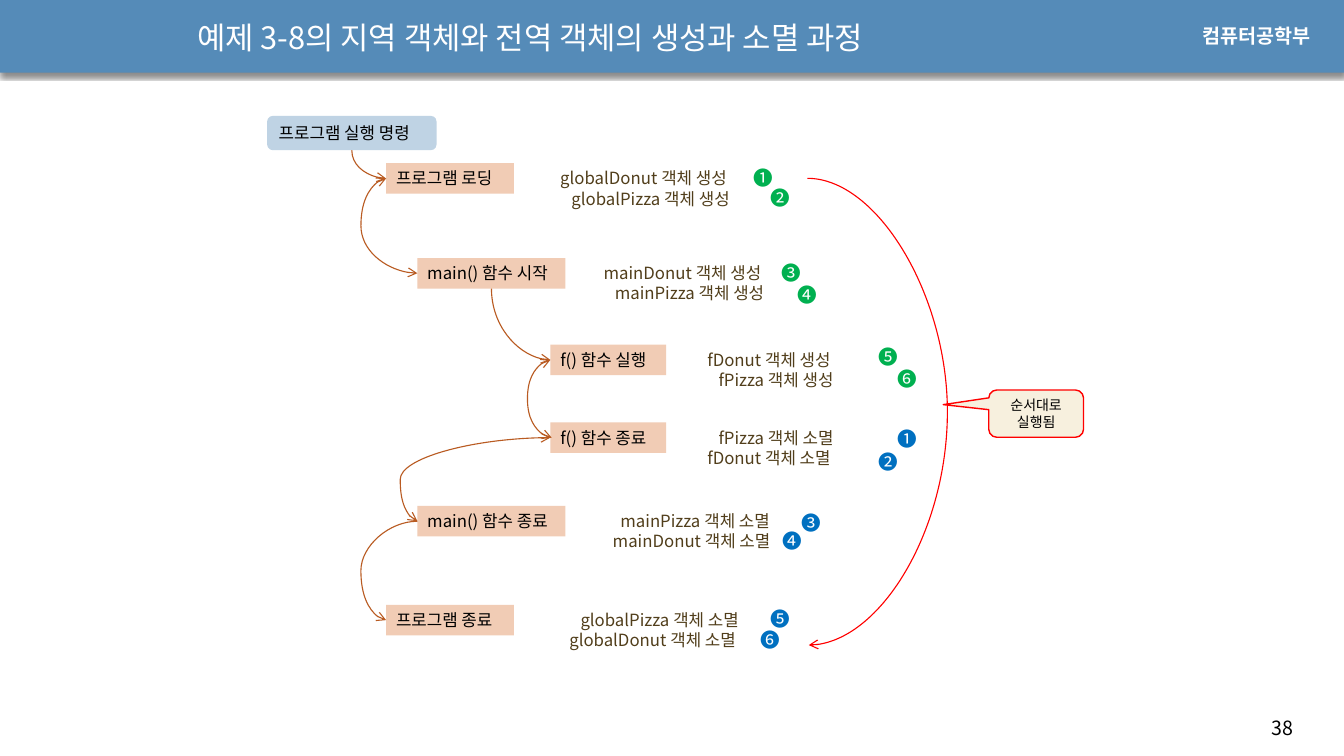
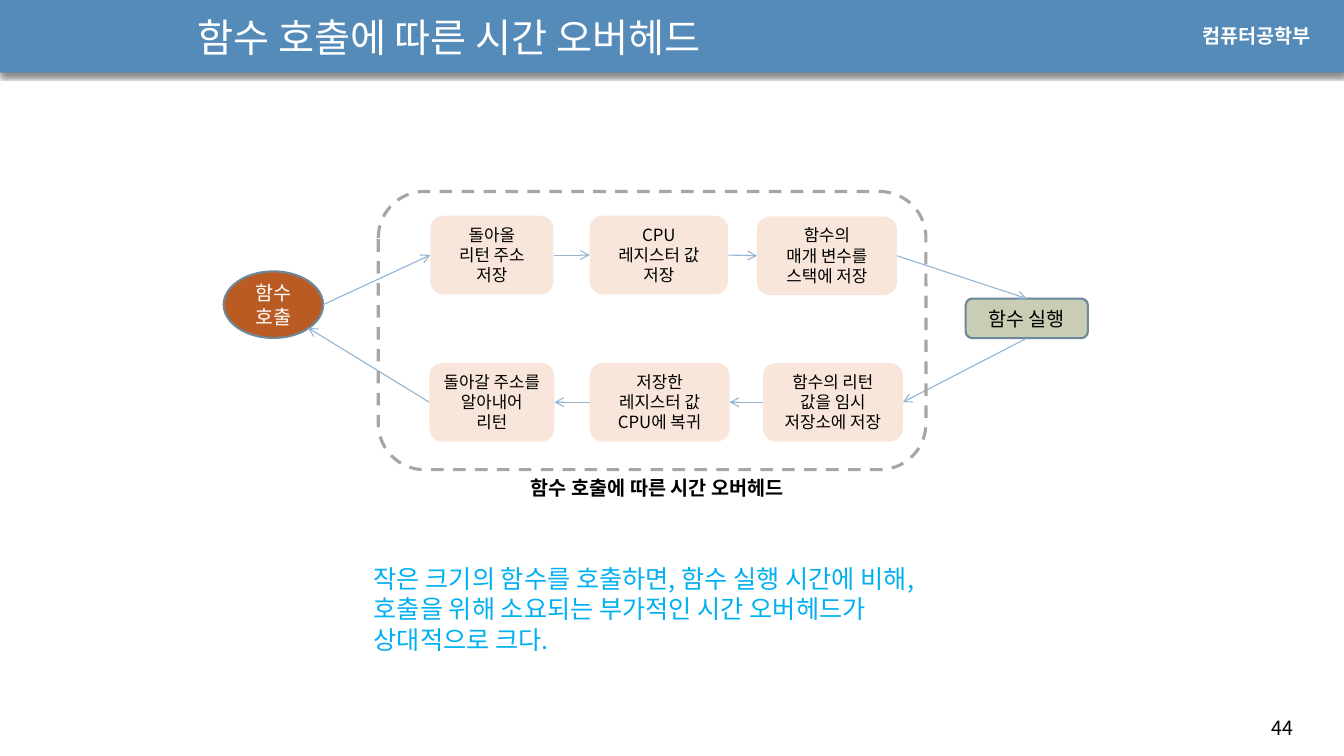
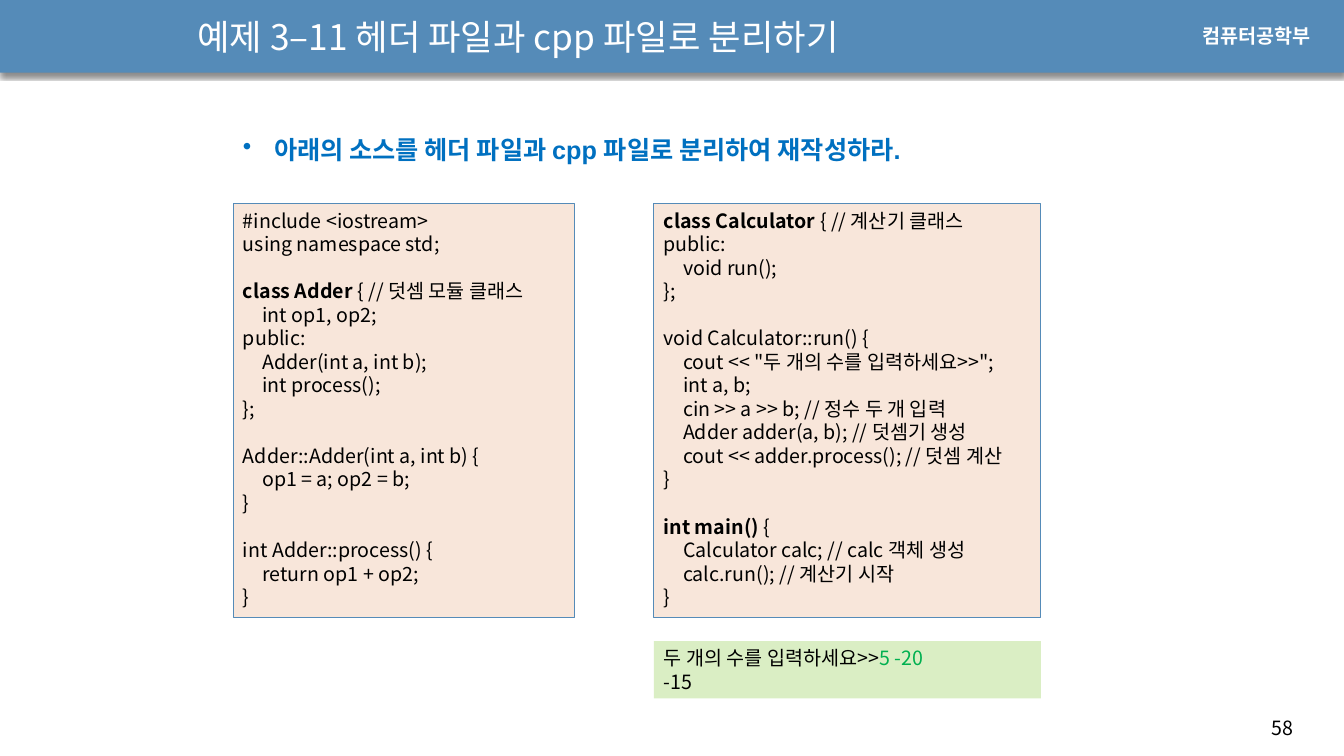
from lxml import etree
from pptx import Presentation
from pptx.dml.color import RGBColor
from pptx.enum.dml import MSO_LINE
from pptx.enum.shapes import MSO_CONNECTOR, MSO_SHAPE
from pptx.enum.text import MSO_ANCHOR, PP_ALIGN
from pptx.oxml.ns import qn
from pptx.util import Pt

RECT = MSO_SHAPE.RECTANGLE
ROUNDED = MSO_SHAPE.ROUNDED_RECTANGLE
OVAL = MSO_SHAPE.OVAL
PROCESS = MSO_SHAPE.FLOWCHART_ALTERNATE_PROCESS
CALLOUT = MSO_SHAPE.ROUNDED_RECTANGULAR_CALLOUT
STRAIGHT, CURVE = MSO_CONNECTOR.STRAIGHT, MSO_CONNECTOR.CURVE
TOP, MIDDLE = MSO_ANCHOR.TOP, MSO_ANCHOR.MIDDLE
LEFT, CENTER = PP_ALIGN.LEFT, PP_ALIGN.CENTER
DASH = MSO_LINE.DASH

KOREAN, LATIN = "Noto Sans CJK KR", "Arial"
COLORS = {
    "band": "558BB8", "white": "FFFFFF", "black": "000000",
    "step": "F1CCB5", "command": "BFD3E4", "brown": "513E1B",
    "flow": "B95B22", "red": "FF0000", "note": "F7F0DE",
    "create": "00B050", "destroy": "0070C0", "peach": "F8E6DA",
    "outline": "6D879B", "run": "C9CDB3", "arrow": "94B6D2",
    "gray": "A6A6A6", "sky": "00B0F0", "result": "DAEEC4",
}
TAB = 13.8
LEFT_SITE, BOTTOM_SITE = 1, 2


def color(name):
    return RGBColor.from_string(COLORS[name])


def add_xml(parent, tag, **attributes):
    return etree.SubElement(parent, qn(tag), attributes)


def lengths(values):
    return [Pt(value) for value in values]


def add_box(slide, kind, frame, fill=None, line=None, width=0.75):
    shape = slide.shapes.add_shape(kind, *lengths(frame))
    shape.shadow.inherit = False
    if fill:
        shape.fill.solid()
        shape.fill.fore_color.rgb = color(fill)
    else:
        shape.fill.background()
    if line:
        shape.line.color.rgb = color(line)
        shape.line.width = Pt(width)
    else:
        shape.line.fill.background()
    return shape


def set_indent(paragraph, left, bullet=None):
    properties = paragraph._p.get_or_add_pPr()
    properties.set("marL", str(Pt(left)))
    properties.set("indent", str(Pt(-left if bullet else 0)))
    if bullet:
        add_xml(properties, "a:buChar", char=bullet)


def set_font(paragraph, size, ink, name, bold):
    paragraph.line_spacing = Pt(round(size * 1.2, 2))
    font = paragraph.font
    font.size, font.name, font.bold = Pt(size), name, bold
    font.color.rgb = color(ink)
    add_xml(paragraph._p.pPr.find(qn("a:defRPr")), "a:ea", typeface=KOREAN)


def write(shape, lines, size=12, ink="black", name=KOREAN, bold=False,
          align=LEFT, anchor=TOP, indents=(), bullet=None):
    frame = shape.text_frame
    frame.word_wrap = True
    frame.vertical_anchor = anchor
    for index, line in enumerate(lines):
        paragraph = frame.paragraphs[0] if index == 0 else frame.add_paragraph()
        paragraph.alignment = align
        if indents:
            set_indent(paragraph, indents[index], bullet)
        set_font(paragraph, size, ink, name, bold)
        paragraph.add_run().text = line
    return shape


def add_text(slide, frame, lines, **style):
    return write(slide.shapes.add_textbox(*lengths(frame)), lines, **style)


def add_code(shape, blocks, size=14):
    frame = shape.text_frame
    frame.word_wrap = True
    frame.vertical_anchor = TOP
    first = True
    for block in blocks:
        for index, line in enumerate(block):
            paragraph = frame.paragraphs[0] if first else frame.add_paragraph()
            paragraph.alignment = LEFT
            tabs = add_xml(paragraph._p.get_or_add_pPr(), "a:tabLst")
            add_xml(tabs, "a:tab", pos=str(Pt(TAB)), algn="l")
            if index == 0 and not first:
                paragraph.space_before = Pt(size * 1.2)
            set_font(paragraph, size, "black", KOREAN, False)
            heading, rest = line if isinstance(line, tuple) else ("", line)
            if heading:
                run = paragraph.add_run()
                run.text = heading
                run.font.bold = True
            paragraph.add_run().text = rest
            first = False


def point(shape, across, down):
    return ((shape.left + shape.width * across) / Pt(1),
            (shape.top + shape.height * down) / Pt(1))


def add_arrow(slide, start, end, ink, kind=STRAIGHT, both=False):
    connector = slide.shapes.add_connector(kind, *lengths(start + end))
    connector.line.color.rgb = color(ink)
    connector.line.width = Pt(0.79)
    line = connector.line._ln
    if both:
        add_xml(line, "a:headEnd", type="arrow")
    add_xml(line, "a:tailEnd", type="arrow")
    add_xml(connector._element.spPr, "a:effectLst")
    return connector


def place(connector, frame, turn, flip_h, flip_v):
    connector.left, connector.top, connector.width, connector.height = lengths(frame)
    transform = connector._element.spPr.find(qn("a:xfrm"))
    transform.set("rot", str(turn * 60000))
    transform.set("flipH", str(int(flip_h)))
    transform.set("flipV", str(int(flip_v)))


def set_bulge(connector, start_x, end_x, bulge_x):
    ratio = round((bulge_x - start_x) / (end_x - start_x) * 100000)
    values = connector._element.spPr.find(qn("a:prstGeom")).find(qn("a:avLst"))
    add_xml(values, "a:gd", name="adj1", fmla=f"val {ratio}")


def add_drop(slide, source, target):
    x0, y0 = point(source, 0.5, 1)
    x1, y1 = point(target, 0, 0.5)
    connector = add_arrow(slide, (x0, y0), (x1, y1), "flow", CURVE)
    connector.begin_connect(source, BOTTOM_SITE)
    connector.end_connect(target, LEFT_SITE)
    wide, high = x1 - x0, y1 - y0
    frame = ((x0 + x1 - high) / 2, (y0 + y1 - wide) / 2, high, wide)
    place(connector, frame, 270, True, False)
    connector._element.spPr.find(qn("a:prstGeom")).set("prst", "curvedConnector2")


def add_loop(slide, source, target, bulge_x, both=False):
    x0, y0 = point(source, 0, 0.5)
    x1, y1 = point(target, 0, 0.5)
    if x0 == x1:
        x0 += 1
    connector = add_arrow(slide, (x0, y0), (x1, y1), "flow", CURVE, both)
    connector.begin_connect(source, LEFT_SITE)
    connector.end_connect(target, LEFT_SITE)
    frame = (min(x0, x1), min(y0, y1), abs(x1 - x0), abs(y1 - y0))
    place(connector, frame, 180, x1 > x0, y1 > y0)
    set_bulge(connector, x0, x1, bulge_x)


def add_slide(presentation, title, title_size, number):
    slide = presentation.slides.add_slide(presentation.slide_layouts[6])
    band = add_box(slide, RECT, (0, -0.7, 960, 52.6), "band")
    effects = band._element.spPr.find(qn("a:effectLst"))
    shadow = add_xml(effects, "a:outerShdw", blurRad=str(Pt(3)),
                     dist=str(Pt(2.4)), dir="5400000", rotWithShape="0")
    shade = add_xml(shadow, "a:srgbClr", val=COLORS["black"])
    add_xml(shade, "a:alpha", val="45000")
    add_text(slide, (901.4, 507.6, 51, 24.5), [number], size=14)
    add_text(slide, (851.8, 13.7, 98.6, 24.5), ["컴퓨터공학부"], size=14,
             ink="white", name=LATIN, bold=True)
    add_text(slide, (133.9, 3.6, 601, 45.4), [title], size=title_size,
             ink="white", anchor=MIDDLE)
    return slide


def build_lifecycle(presentation):
    slide = add_slide(presentation, "예제 3-8의 지역 객체와 전역 객체의 생성과 소멸 과정", 22, "38")
    rows = [
        ("프로그램 로딩", 275.8, 116.6, 91.4, 393.1,
         ("globalDonut 객체 생성", "globalPizza 객체 생성"), (0, 8)),
        ("main() 함수 시작", 298.1, 184.3, 105.8, 424.1,
         ("mainDonut 객체 생성", "mainPizza 객체 생성"), (0, 8)),
        ("f() 함수 실행", 393.1, 246.2, 82.8, 498.2,
         ("fDonut 객체 생성", "fPizza 객체 생성"), (0, 8)),
        ("f() 함수 종료", 393.1, 301.7, 82.8, 498.2,
         ("fPizza 객체 소멸", "fDonut 객체 소멸"), (8, 0)),
        ("main() 함수 종료", 298.1, 361.4, 105.8, 430.6,
         ("mainPizza 객체 소멸", "mainDonut 객체 소멸"), (5.5, 0)),
        ("프로그램 종료", 275.8, 432, 91.4, 399.6,
         ("globalPizza 객체 소멸", "globalDonut 객체 소멸"), (8, 0)),
    ]
    command = add_box(slide, PROCESS, (190.8, 82.8, 121, 24.5), "command")
    write(command, ["프로그램 실행 명령"])
    steps = []
    for label, left, top, width, note_left, notes, indents in rows:
        step = add_box(slide, RECT, (left, top, width, 21.8), "step")
        steps.append(write(step, [label]))
        add_text(slide, (note_left, top, 180, 36), notes, ink="brown", indents=indents)
    loading, main_start, f_run, f_end, main_end, program_end = steps

    add_drop(slide, command, loading)
    add_loop(slide, loading, main_start, 257.8, both=True)
    add_drop(slide, main_start, f_run)
    add_loop(slide, f_end, f_run, 376.6, both=True)
    add_loop(slide, f_end, main_end, 285.8, both=True)
    add_loop(slide, main_end, program_end, 257.8)
    order = add_arrow(slide, (576.7, 127.4), (577.7, 460.8), "red", CURVE)
    set_bulge(order, 576.7, 577.7, 677.5)

    callout = add_box(slide, CALLOUT, (706.3, 278.6, 67.7, 33.8), "note", "red", 1)
    for index, value in enumerate((-0.98, -0.19, 0.17)):
        callout.adjustments[index] = value
    write(callout, ["순서대로 실행됨"], size=10, align=CENTER, anchor=MIDDLE)

    places = {
        "create": [(531.4, 115.2), (543.6, 129.6), (550.8, 182.9),
                   (562.3, 198.7), (620.6, 242.6), (634.3, 258.5)],
        "destroy": [(634.3, 301.7), (620.6, 317.5), (565.2, 361.4),
                    (552.2, 374.4), (543.6, 429.8), (536.4, 445)],
    }
    for ink, spots in places.items():
        for digit, (left, top) in zip("❶❷❸❹❺❻", spots):
            add_text(slide, (left, top, 27.4, 24.5), [digit], size=14, ink=ink)


def build_overhead(presentation):
    slide = add_slide(presentation, "함수 호출에 따른 시간 오버헤드", 28, "44")
    stages = [
        (307.4, 154.1, 88, ["돌아올", "리턴 주소 저장"]),
        (421.2, 154.1, 98.8, ["CPU", "레지스터 값", "저장"]),
        (540.7, 154.6, 100, ["함수의", "매개 변수를", "스택에 저장"]),
        (545, 259.2, 100, ["함수의 리턴 값을 임시 저장소에 저장"]),
        (421.2, 259.2, 100, ["저장한", "레지스터 값", "CPU에 복귀"]),
        (306.7, 259.2, 89.3, ["돌아갈 주소를 알아내어", "리턴"]),
    ]
    boxes = []
    for left, top, width, lines in stages:
        box = add_box(slide, ROUNDED, (left, top, width, 56.2), "peach")
        boxes.append(write(box, lines, align=CENTER))
    call = add_box(slide, OVAL, (159.8, 193.9, 71, 47.5), "flow", "outline", 1.5)
    write(call, ["함수 호출"], size=14, ink="white", align=CENTER, anchor=MIDDLE)
    run = add_box(slide, ROUNDED, (689.8, 213.3, 87.3, 28.3), "run", "outline", 1.5)
    write(run, ["함수 실행"], size=14, align=CENTER, anchor=MIDDLE)

    saving, restoring = boxes[:3], boxes[3:]
    links = [(point(a, 1, 0.5), point(b, 0, 0.5)) for a, b in zip(saving, saving[1:])]
    links += [(point(a, 0, 0.5), point(b, 1, 0.5))
              for a, b in zip(restoring, restoring[1:])]
    links += [
        (point(call, 1, 0.5), point(saving[0], 0, 0.5)),
        (point(saving[-1], 1, 0.5), point(run, 0.5, 0)),
        (point(run, 0.5, 1), point(restoring[0], 1, 0.5)),
        (point(restoring[-1], 0, 0.5), point(call, 0.85, 0.85)),
    ]
    for start, end in links:
        add_arrow(slide, start, end, "arrow")

    border = add_box(slide, ROUNDED, (270.2, 136.8, 391.2, 198.7), None, "gray", 2.25)
    border.line.dash_style = DASH
    add_text(slide, (372.2, 336.2, 218.2, 24.5), ["함수 호출에 따른 시간 오버헤드"],
             size=14, bold=True)
    add_text(slide, (259.9, 398.9, 447.8, 72.7),
             ["작은 크기의 함수를 호출하면, 함수 실행 시간에 비해, "
              "호출을 위해 소요되는 부가적인 시간 오버헤드가 상대적으로 크다."],
             size=18, ink="sky")


def build_files(presentation):
    slide = add_slide(presentation, "예제 3–11 헤더 파일과 cpp 파일로 분리하기", 25.2, "58")
    adder = [
        ["#include <iostream>", "using namespace std;"],
        [("class Adder ", "{ // 덧셈 모듈 클래스"), "\tint op1, op2;", "public:",
         "\tAdder(int a, int b);", "\tint process();", "};"],
        ["Adder::Adder(int a, int b) {", "\top1 = a; op2 = b;", "}"],
        ["int Adder::process() {", "\treturn op1 + op2;", "}"],
    ]
    calculator = [
        [("class Calculator ", "{ // 계산기 클래스"), "public:", "\tvoid run();", "};"],
        ["void Calculator::run() {", "\tcout << \"두 개의 수를 입력하세요>>\";",
         "\tint a, b;", "\tcin >> a >> b; // 정수 두 개 입력",
         "\tAdder adder(a, b); // 덧셈기 생성",
         "\tcout << adder.process(); // 덧셈 계산", "}"],
        [("int main() ", "{"), "\tCalculator calc; // calc 객체 생성",
         "\tcalc.run(); // 계산기 시작", "}"],
    ]
    for left, width, blocks in ((166.5, 244, adder), (467, 276.5, calculator)):
        panel = add_box(slide, RECT, (left, 145.4, width, 295.9), "peach", "band")
        add_code(panel, blocks)

    result = add_box(slide, RECT, (467, 457.9, 276.5, 41), "result")
    write(result, ["두 개의 수를 입력하세요>>", "-15"], size=14)
    entry = result.text_frame.paragraphs[0].add_run()
    entry.text = "5 -20"
    entry.font.color.rgb = color("create")
    add_text(slide, (166.3, 92.2, 536.4, 28.8),
             ["아래의 소스를 헤더 파일과 cpp 파일로 분리하여 재작성하라."],
             size=18, ink="destroy", name=LATIN, bold=True, indents=(22.5,), bullet="•")


def main():
    presentation = Presentation()
    presentation.slide_width, presentation.slide_height = Pt(960), Pt(540)
    build_lifecycle(presentation)
    build_overhead(presentation)
    build_files(presentation)
    presentation.save("out.pptx")


if __name__ == "__main__":
    main()
